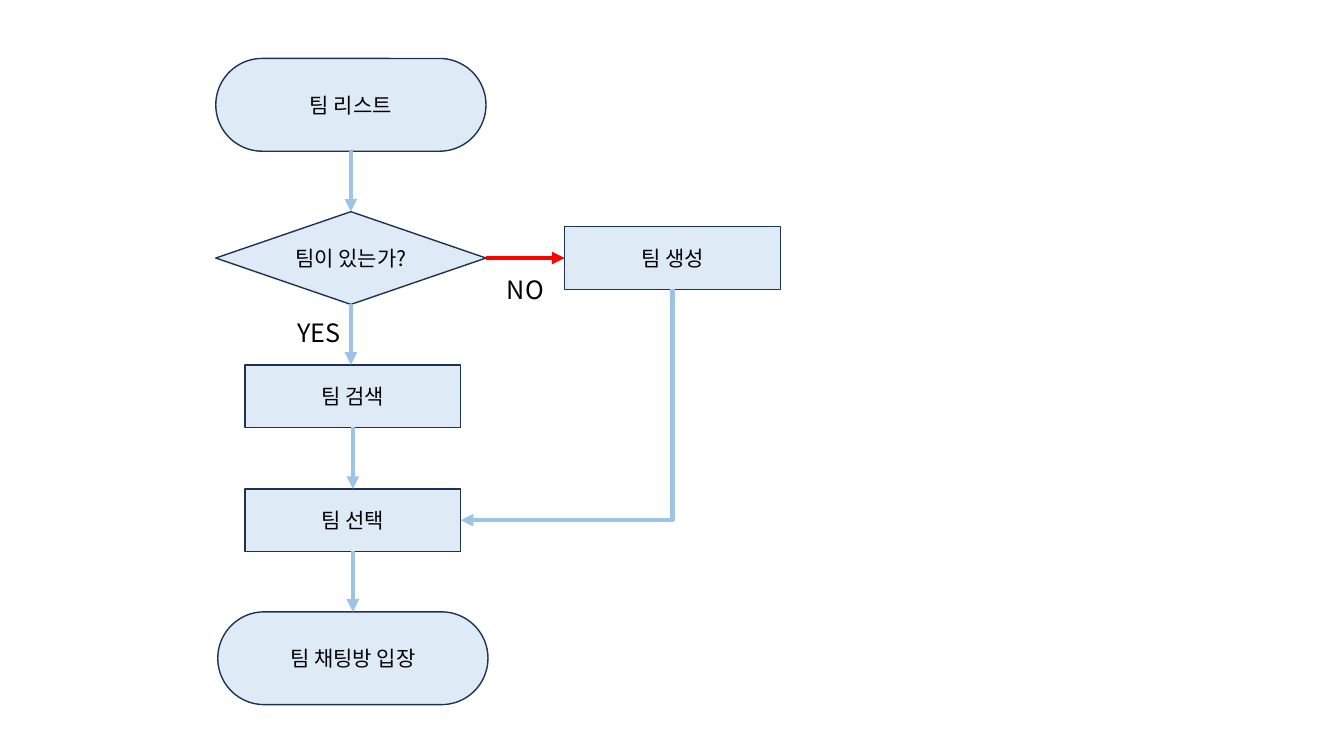
from lxml.etree import SubElement
from pptx import Presentation
from pptx.dml.color import RGBColor
from pptx.enum.shapes import MSO_CONNECTOR as Connector, MSO_SHAPE as Shape
from pptx.enum.text import MSO_ANCHOR as Anchor, MSO_AUTO_SIZE as AutoSize, PP_ALIGN as Align
from pptx.oxml.ns import qn
from pptx.util import Emu, Pt

PX = 9144  # 100 px to the inch
FONT = "Noto Sans CJK KR"
BLACK, PALE, NAVY, BLUE, RED = "000000", "DEEBF7", "1E3256", "9DC3E6", "FF0000"
TOP, LEFT, BOTTOM, RIGHT = range(4)
LABEL_SIZE = (95, 40)


def px(*lengths):
    return [Emu(length * PX) for length in lengths]


def color(hex_string):
    return RGBColor.from_string(hex_string)


def apply(target, values):
    for name, value in values.items():
        setattr(target, name, value)


def write(shape, text, size, align, frame_format):
    frame = shape.text_frame
    apply(frame, frame_format)
    paragraph = frame.paragraphs[0]
    paragraph.alignment = align
    run = paragraph.add_run()
    run.text = text
    apply(run.font, {"size": Pt(size), "name": FONT})
    run.font.color.rgb = color(BLACK)
    # Korean glyphs take the East Asian font
    SubElement(run.font._element, qn("a:ea"), typeface=FONT)


def add_step(slide, kind, text, box):
    shape = slide.shapes.add_shape(kind, *px(*box))
    shape.shadow.inherit = False
    shape.fill.solid()
    shape.fill.fore_color.rgb = color(PALE)
    shape.line.color.rgb = color(NAVY)
    shape.line.width = Pt(1)
    if kind == Shape.ROUNDED_RECTANGLE:
        shape.adjustments[0] = 0.5
    write(shape, text, 15, Align.CENTER,
          {"vertical_anchor": Anchor.MIDDLE, "word_wrap": True})
    return shape


def add_label(slide, text, corner):
    label = slide.shapes.add_textbox(*px(*corner, *LABEL_SIZE))
    write(label, text, 18, Align.LEFT,
          {"word_wrap": True, "auto_size": AutoSize.SHAPE_TO_FIT_TEXT})


def add_arrow(slide, start, start_side, end, end_side, hex_string=BLUE,
              kind=Connector.STRAIGHT):
    arrow = slide.shapes.add_connector(kind, 0, 0, 0, 0)
    arrow.begin_connect(start, start_side)
    arrow.end_connect(end, end_side)
    arrow.line.color.rgb = color(hex_string)
    arrow.line.width = Pt(3)
    SubElement(arrow.line._get_or_add_ln(), qn("a:tailEnd"), type="triangle")
    SubElement(arrow._element.spPr, qn("a:effectLst"))
    return arrow


def add_corner_arrow(slide, start, end):
    """Go down from start, then left into the side of end."""
    arrow = add_arrow(slide, start, BOTTOM, end, RIGHT, kind=Connector.ELBOW)
    across = arrow.begin_x - arrow.end_x
    down = arrow.end_y - arrow.begin_y
    center_x = (arrow.begin_x + arrow.end_x) // 2
    center_y = (arrow.begin_y + arrow.end_y) // 2
    properties = arrow._element.spPr
    properties.find(qn("a:prstGeom")).set("prst", "bentConnector2")
    transform = properties.find(qn("a:xfrm"))
    for flip in ("flipH", "flipV"):
        transform.attrib.pop(flip, None)
    transform.set("rot", str(90 * 60000))
    apply(arrow, {"left": center_x - down // 2, "top": center_y - across // 2,
                  "width": down, "height": across})


def build_flowchart(slide, left, top):
    wide, tall = 268, 92
    narrow, low = 214, 62

    # Steps
    def large(kind, text, x, y):
        return add_step(slide, kind, text, (left + x, top + y, wide, tall))

    def small(text, x, y):
        return add_step(slide, Shape.RECTANGLE, text, (left + x, top + y, narrow, low))

    team_list = large(Shape.ROUNDED_RECTANGLE, "팀 리스트", 0, 0)
    decision = large(Shape.DIAMOND, "팀이 있는가?", 0, 152)
    create = small("팀 생성", 346, 167)
    search = small("팀 검색", 29, 304)
    select = small("팀 선택", 29, 427)
    enter = large(Shape.ROUNDED_RECTANGLE, "팀 채팅방 입장", 2, 549)

    # Arrows
    add_arrow(slide, team_list, BOTTOM, decision, TOP)
    add_arrow(slide, search, BOTTOM, select, TOP)
    add_arrow(slide, select, BOTTOM, enter, TOP)
    add_arrow(slide, decision, RIGHT, create, LEFT, RED)
    yes_arrow = add_arrow(slide, decision, BOTTOM, search, TOP)
    yes_arrow.end_x = yes_arrow.begin_x  # keep it upright
    add_corner_arrow(slide, create, select)

    # Answers
    add_label(slide, "YES", (left + 71, top + 252))
    add_label(slide, "NO", (left + 279, top + 209))


def main():
    presentation = Presentation()
    presentation.slide_width, presentation.slide_height = px(1333, 750)
    slide = presentation.slides.add_slide(presentation.slide_layouts[6])
    build_flowchart(slide, 214, 58)
    presentation.save("out.pptx")


if __name__ == "__main__":
    main()
